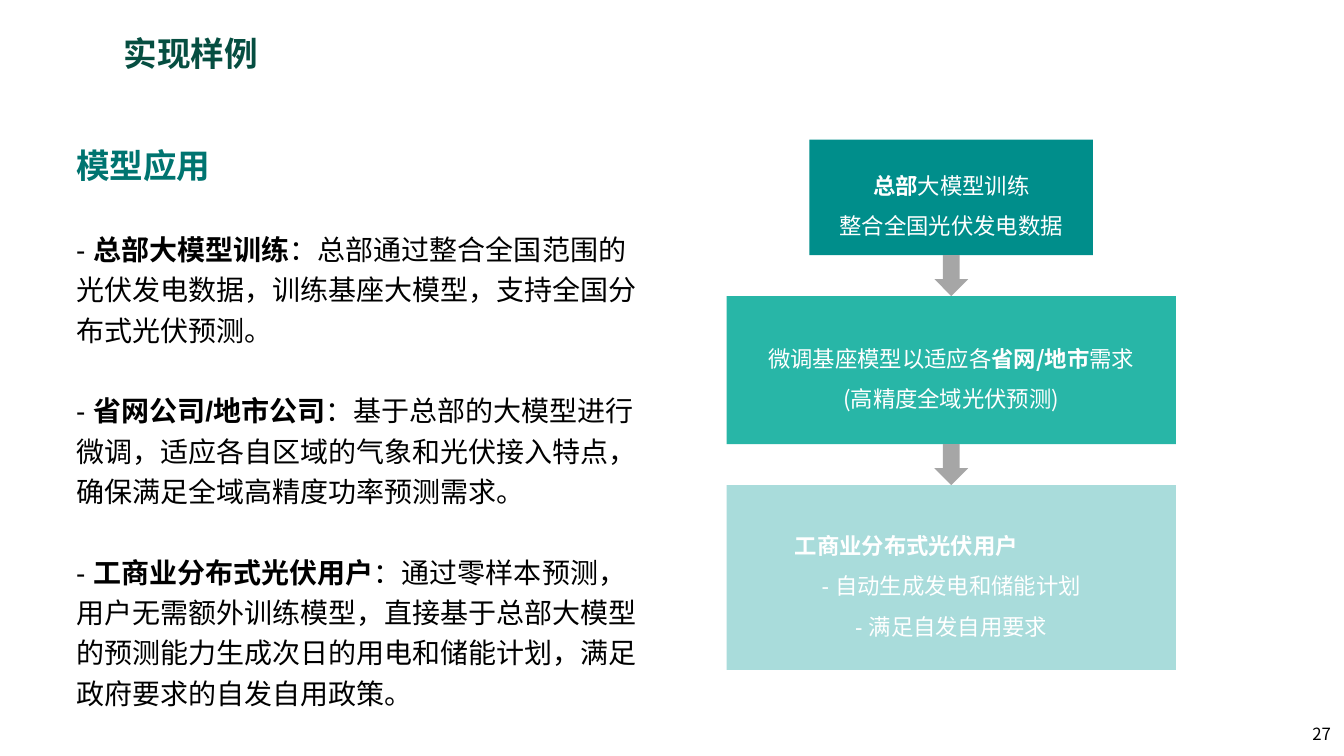
from pptx import Presentation
from pptx.dml.color import RGBColor
from pptx.enum.shapes import MSO_SHAPE
from pptx.enum.text import MSO_ANCHOR, MSO_AUTO_SIZE, PP_ALIGN
from pptx.oxml.ns import qn
from pptx.util import Pt
from lxml.etree import SubElement

PX = 9525
CJK = "Noto Sans CJK SC"
COLORS = {
    "title": "064E41", "heading": "007470", "text": "000000", "white": "FFFFFF",
    "headquarters": "008E8B", "province": "28B6A7", "users": "A9DCDB", "arrow": "A6A6A6",
}


class Deck:
    """Holds the presentation style and the current slide."""

    def __init__(self, width, height):
        self.prs = Presentation()
        self.prs.slide_width, self.prs.slide_height = width * PX, height * PX
        self.s = self.prs.slides.add_slide(self.prs.slide_layouts[5])

    def place(self, sp, box):
        sp.left, sp.top, sp.width, sp.height = (n * PX for n in box)

    def style(self, r, size, color, bold=False, font=CJK):
        r.font.size, r.font.bold, r.font.name = Pt(size), bold, font
        r.font.color.rgb = RGBColor.from_string(COLORS[color])
        SubElement(r.font._element, qn("a:ea")).set("typeface", CJK)

    def add_runs(self, p, runs, size, color, font=CJK, line=28.8, align=PP_ALIGN.LEFT):
        p.alignment, p.line_spacing = align, Pt(line)
        for text, bold in runs:
            r = p.add_run()
            r.text = text
            self.style(r, size, color, bold, font)

    def title(self, text, box):
        sp = self.s.shapes.title
        self.place(sp, box)
        tf = sp.text_frame
        tf.text = text
        tf.auto_size, tf.vertical_anchor = MSO_AUTO_SIZE.NONE, MSO_ANCHOR.MIDDLE
        tf.paragraphs[0].alignment = PP_ALIGN.LEFT
        self.style(tf.paragraphs[0].runs[0], 24, "title", True)

    def textbox(self, box):
        tf = self.s.shapes.add_textbox(*(n * PX for n in box)).text_frame
        tf.word_wrap = True
        return tf

    def article(self, heading, items, box):
        tf = self.textbox(box)
        self.add_runs(tf.paragraphs[0], [(heading, True)], 24, "heading", "Arial", 36.8)
        for name, detail in items:
            p = tf.add_paragraph()
            p.space_before = Pt(28.8)
            self.add_runs(p, [("- ", False), (name, True), (detail, False)], 20, "text", "Arial")

    def number(self, text, box):
        p = self.textbox(box).paragraphs[0]
        p.text, p.alignment = text, PP_ALIGN.RIGHT
        self.style(p.runs[0], 12, "text")

    def shape(self, kind, box, color):
        sp = self.s.shapes.add_shape(kind, *(n * PX for n in box))
        sp.shadow.inherit = False
        sp.fill.solid()
        sp.fill.fore_color.rgb = RGBColor.from_string(COLORS[color])
        sp.line.fill.background()
        return sp

    def stage(self, lines, box, color, font=CJK, indent=0):
        tf = self.shape(MSO_SHAPE.RECTANGLE, box, color).text_frame
        tf.word_wrap, tf.vertical_anchor = True, MSO_ANCHOR.MIDDLE
        tf.margin_left = tf.margin_right = tf.margin_bottom = 3 * PX
        tf.margin_top = 6 * PX
        for i, runs in enumerate(lines):
            p = tf.add_paragraph() if i else tf.paragraphs[0]
            self.add_runs(p, runs, 16, "white", font, align=PP_ALIGN.CENTER)
        if indent:
            p = tf.paragraphs[0]
            p.alignment = PP_ALIGN.LEFT
            p._p.get_or_add_pPr().set("marL", str(indent * PX))


def main():
    deck = Deck(1280, 720)
    deck.title("实现样例", (108, 17, 799, 67))
    deck.article("模型应用", [
        ("总部大模型训练", "：总部通过整合全国范围的光伏发电数据，训练基座大模型，支持全国分布式光伏预测。"),
        ("省网公司/地市公司", "：基于总部的大模型进行微调，适应各自区域的气象和光伏接入特点，"
         "确保满足全域高精度功率预测需求。"),
        ("工商业分布式光伏用户", "：通过零样本预测，用户无需额外训练模型，直接基于总部大模型的预测能力"
         "生成次日的用电和储能计划，满足政府要求的自发自用政策。"),
    ], (63, 123, 556, 504))

    stages = [
        ("headquarters", 270, 110, CJK, 0, [
            [("总部", True), ("大模型训练", False)],
            [("整合全国光伏发电数据", False)]]),
        ("province", 428, 141, CJK, 0, [
            [("微调基座模型以适应各", False), ("省网/地市", True), ("需求", False)],
            [("(高精度全域光伏预测)", False)]]),
        ("users", 428, 176, "Arial", 62, [
            [("工商业分布式光伏用户", True)],
            [("- 自动生成发电和储能计划", False)],
            [("- 满足自发自用要求", False)]]),
    ]
    center, top, gap, arrow = 906, 133, 39, 32
    for i, (color, width, height, font, indent, lines) in enumerate(stages):
        if i:
            deck.shape(MSO_SHAPE.DOWN_ARROW, (center - arrow // 2, top - gap, arrow, gap), "arrow")
        deck.stage(lines, (center - width // 2, top, width, height), color, font, indent)
        top += height + gap

    deck.number("27", (1225, 685, 52, 23))
    deck.prs.save("out.pptx")


if __name__ == "__main__":
    main()
